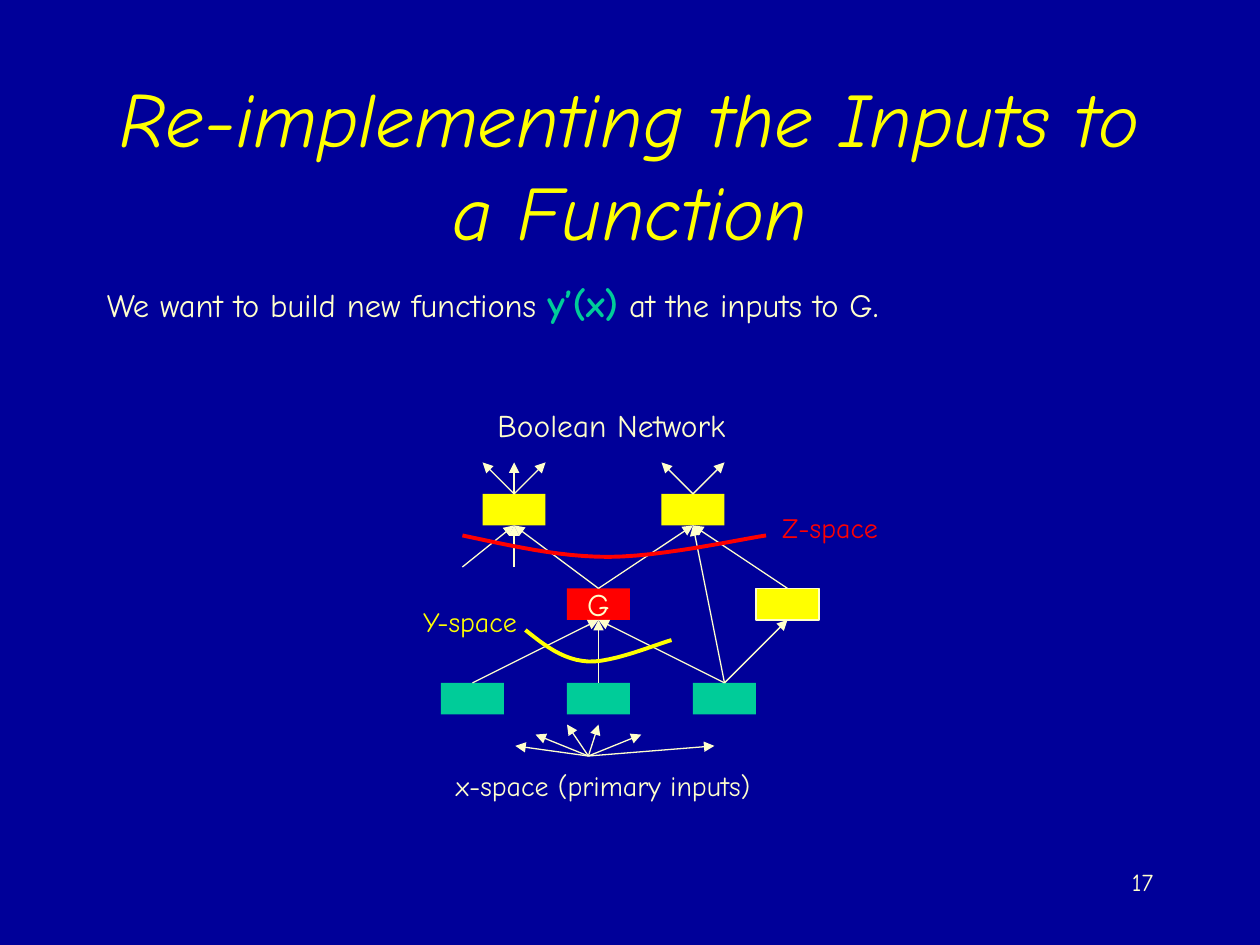
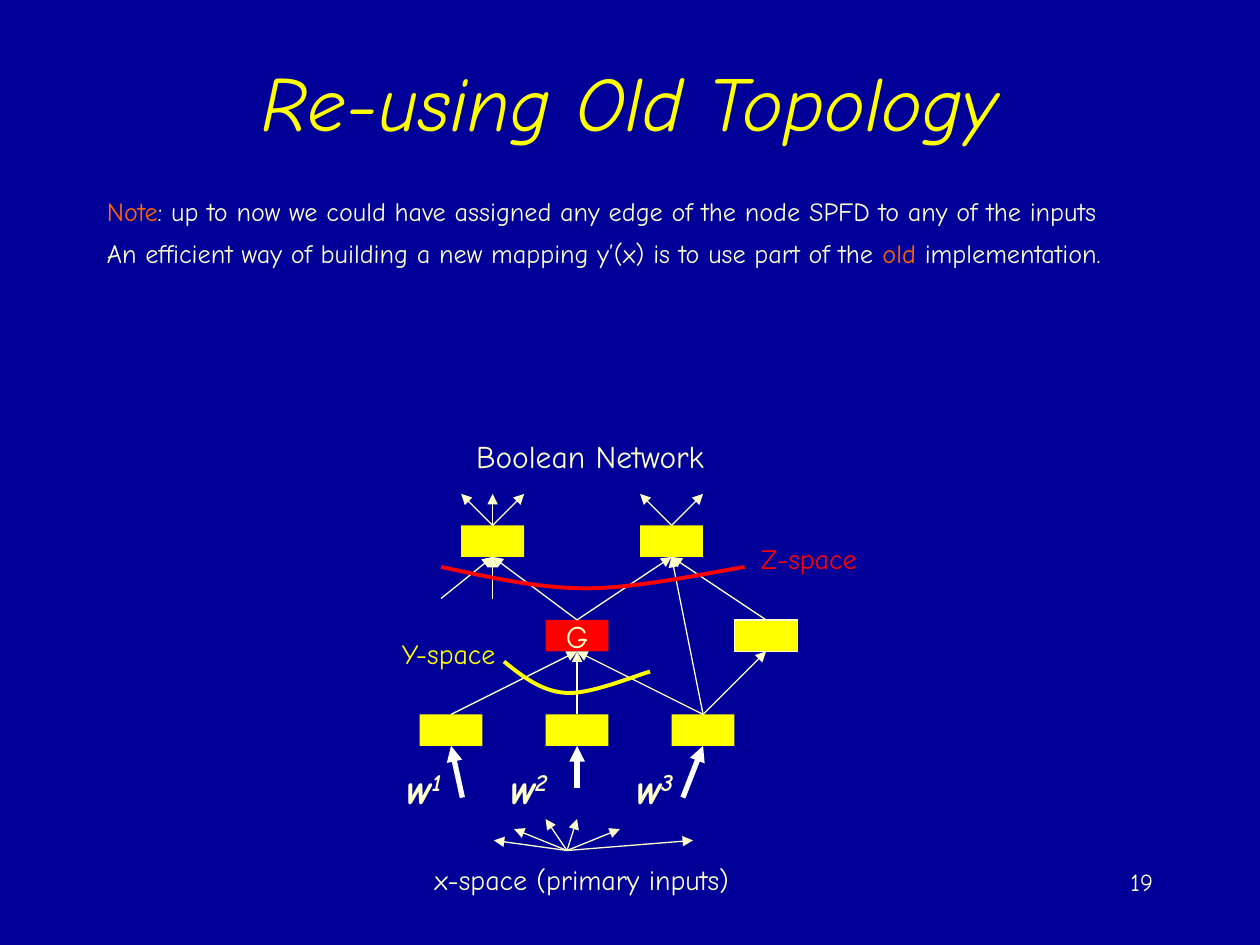
from dataclasses import dataclass
from typing import NamedTuple

from lxml import etree
from pptx import Presentation
from pptx.dml.color import RGBColor
from pptx.enum import shapes, text
from pptx.oxml.ns import qn
from pptx.util import Inches, Pt

NAVY = RGBColor(0x00, 0x00, 0x99)
YELLOW = RGBColor(0xFF, 0xFF, 0x00)
CREAM = RGBColor(0xFF, 0xFF, 0xCC)
WHITE = RGBColor(0xFF, 0xFF, 0xFF)
GREEN = RGBColor(0x00, 0xCC, 0x99)
RED = RGBColor(0xFF, 0x00, 0x00)
ORANGE = RGBColor(0xFF, 0x66, 0x00)
FONT = "Comic Neue"
NODE_WIDTH, NODE_HEIGHT = 0.5, 0.25
CURVE_STEPS = 12


class Point(NamedTuple):
    x: float
    y: float

    def shifted(self, dx: float, dy: float) -> "Point":
        return Point(self.x + dx, self.y + dy)


class Area(NamedTuple):
    left: float
    top: float
    width: float
    height: float


class Span(NamedTuple):
    text: str
    color: RGBColor | None = None
    size: float | None = None
    bold: bool | None = None
    raised: bool = False


@dataclass(frozen=True)
class Style:
    size: float
    color: RGBColor = CREAM
    bold: bool = False
    italic: bool = False
    align: text.PP_ALIGN = text.PP_ALIGN.LEFT
    anchor: text.MSO_ANCHOR = text.MSO_ANCHOR.TOP
    wrap: bool = True
    space_before: float = 0
    hanging: float = 0


@dataclass(frozen=True)
class Node:
    """A box of the network, placed relative to the network's origin."""
    left: float
    top: float
    fill: RGBColor = YELLOW
    outlined: bool = False
    label: str = ""

    @property
    def head(self) -> Point:
        return Point(self.left + NODE_WIDTH / 2, self.top)

    @property
    def foot(self) -> Point:
        return self.head.shifted(0, NODE_HEIGHT)


class Label(NamedTuple):
    text: str
    area: Area
    style: Style


class Curve(NamedTuple):
    """Cubic Bezier segments: a start, then three points per segment."""
    color: RGBColor
    points: list[tuple[float, float]]


TITLE = Style(44, YELLOW, italic=True, align=text.PP_ALIGN.CENTER, anchor=text.MSO_ANCHOR.MIDDLE)
NODE_LABEL = Style(18, align=text.PP_ALIGN.CENTER, anchor=text.MSO_ANCHOR.MIDDLE, wrap=False)
PAGE_NUMBER = Style(14, align=text.PP_ALIGN.RIGHT)
WEIGHT = Style(24, bold=True, italic=True)

G_NODE = Node(1, 1, RED, label="G")
SIDE_NODE = Node(2.5, 1, outlined=True)
LEFT_OUTPUT, RIGHT_OUTPUT = Node(0.33, 0.25), Node(1.75, 0.25)
LABELS = [
    Label("Boolean Network", Area(0.35, -0.5, 2.23, 0.4), Style(18, wrap=False)),
    Label("Y-space", Area(-0.24, 1.08, 0.99, 0.37), Style(16, YELLOW, wrap=False)),
    Label("Z-space", Area(2.61, 0.33, 0.99, 0.37), Style(16, RED, wrap=False)),
]
CURVES = [
    Curve(YELLOW, [(0.67, 1.33), (0.82, 1.45), (0.97, 1.57), (1.17, 1.58),
                   (1.36, 1.59), (1.72, 1.44), (1.83, 1.41)]),
    Curve(RED, [(0.17, 0.58), (0.55, 0.66), (0.93, 0.75), (1.33, 0.75),
                (1.74, 0.75), (2.38, 0.61), (2.58, 0.58)]),
]
FAN_HUB = Point(1.17, 2.33)
FAN_RAYS = [(0.08, -0.25), (-0.17, -0.25), (-0.42, -0.17),
            (-0.58, -0.08), (0.42, -0.17), (1, -0.08)]


def fill_frame(frame, paragraphs: list[list[Span]], style: Style) -> None:
    frame.word_wrap = style.wrap
    frame.vertical_anchor = style.anchor
    for index, spans in enumerate(paragraphs):
        para = frame.paragraphs[0] if index == 0 else frame.add_paragraph()
        para.alignment = style.align
        para.space_before = Pt(style.space_before)
        if style.hanging:
            properties = para._p.get_or_add_pPr()
            properties.set("marL", str(Inches(style.hanging)))
            properties.set("indent", str(-Inches(style.hanging)))
        font = para.font
        font.name, font.size = FONT, Pt(style.size)
        font.bold, font.italic = style.bold, style.italic
        font.color.rgb = style.color
        for span in spans:
            run = para.add_run()
            run.text = span.text
            if span.color is not None:
                run.font.color.rgb = span.color
            if span.size is not None:
                run.font.size = Pt(span.size)
            if span.bold is not None:
                run.font.bold = span.bold
            if span.raised:
                run._r.get_or_add_rPr().set("baseline", "30000")


def add_text(page, area: Area, paragraphs: list[list[Span]], style: Style) -> None:
    box = page.shapes.add_textbox(*map(Inches, area))
    fill_frame(box.text_frame, paragraphs, style)


def add_arrow(page, start: Point, end: Point, color: RGBColor = CREAM, width: float = 0.75) -> None:
    arrow = page.shapes.add_connector(
        shapes.MSO_CONNECTOR.STRAIGHT, *map(Inches, (*start, *end)))
    arrow.line.color.rgb = color
    arrow.line.width = Pt(width)
    etree.SubElement(arrow.line._get_or_add_ln(), qn("a:tailEnd"), type="triangle")
    etree.SubElement(arrow._element.spPr, qn("a:effectLst"))


def bezier_points(points: list[Point]) -> list[Point]:
    """Sample every cubic segment at equal steps."""
    sampled = [points[0]]
    for first in range(0, len(points) - 1, 3):
        segment = points[first:first + 4]
        for step in range(1, CURVE_STEPS + 1):
            t = step / CURVE_STEPS
            weights = ((1 - t) ** 3, 3 * t * (1 - t) ** 2, 3 * t * t * (1 - t), t ** 3)
            sampled.append(Point(sum(w * p.x for w, p in zip(weights, segment)),
                                 sum(w * p.y for w, p in zip(weights, segment))))
    return sampled


def add_curve(page, points: list[Point], color: RGBColor) -> None:
    start, *rest = [(Inches(p.x), Inches(p.y)) for p in bezier_points(points)]
    builder = page.shapes.build_freeform(*start)
    builder.add_line_segments(rest, close=False)
    curve = builder.convert_to_shape()
    curve.shadow.inherit = False
    curve.fill.background()
    curve.line.color.rgb = color
    curve.line.width = Pt(2.25)


def add_node(page, node: Node, origin: Point) -> None:
    corner = origin.shifted(node.left, node.top)
    box = page.shapes.add_shape(
        shapes.MSO_SHAPE.RECTANGLE, *map(Inches, (*corner, NODE_WIDTH, NODE_HEIGHT)))
    box.shadow.inherit = False
    box.fill.solid()
    box.fill.fore_color.rgb = node.fill
    if node.outlined:
        box.line.color.rgb = CREAM
        box.line.width = Pt(0.75)
    else:
        box.line.fill.background()
    if node.label:
        fill_frame(box.text_frame, [[Span(node.label)]], NODE_LABEL)


def add_network(page, origin: Point, input_fill: RGBColor, fan_drop: float = 0) -> None:
    """Draw the Boolean network; fan_drop lowers the primary inputs."""
    inputs = [Node(column, 1.75, input_fill) for column in range(3)]
    for node in (*inputs, G_NODE, SIDE_NODE, RIGHT_OUTPUT, LEFT_OUTPUT):
        add_node(page, node, origin)

    last = inputs[-1].head
    edges = [(node.head, G_NODE.foot) for node in inputs]
    edges += [(last, RIGHT_OUTPUT.foot), (last, SIDE_NODE.foot),
              (SIDE_NODE.head, RIGHT_OUTPUT.foot)]
    edges += [(G_NODE.head, output.foot) for output in (RIGHT_OUTPUT, LEFT_OUTPUT)]
    edges += [(LEFT_OUTPUT.foot.shifted(dx, 0.33), LEFT_OUTPUT.foot) for dx in (0, -0.41)]
    for output, spreads in ((RIGHT_OUTPUT, (0.25, -0.25)), (LEFT_OUTPUT, (0.25, -0.25, 0))):
        edges += [(output.head, output.head.shifted(dx, -0.25)) for dx in spreads]
    hub = FAN_HUB.shifted(0, fan_drop)
    edges += [(hub, hub.shifted(*ray)) for ray in FAN_RAYS]
    for start, end in edges:
        add_arrow(page, start.shifted(*origin), end.shifted(*origin))

    for curve in CURVES:
        add_curve(page, [origin.shifted(*point) for point in curve.points], curve.color)
    primary = Label("x-space (primary inputs)", Area(0.02, 2.38 + fan_drop, 2.71, 0.37),
                    Style(16, wrap=False))
    for label in (*LABELS, primary):
        left, top, width, height = label.area
        add_text(page, Area(*origin.shifted(left, top), width, height),
                 [[Span(label.text)]], label.style)


def add_page(deck, title: str, title_top: float, number: int):
    page = deck.slides.add_slide(deck.slide_layouts[6])
    page.background.fill.solid()
    page.background.fill.fore_color.rgb = NAVY
    add_text(page, Area(0.75, title_top, 8.5, 1.25), [[Span(title)]], TITLE)
    add_text(page, Area(7.17, 6.83, 2.08, 0.5), [[Span(str(number))]], PAGE_NUMBER)
    return page


def add_inputs_page(deck) -> None:
    page = add_page(deck, "Re-implementing the Inputs to a Function", 0.67, 17)
    add_text(page, Area(0.75, 2.17, 7.83, 0.5), [[
        Span("We want to build new functions "),
        Span("y’(x)", GREEN, 21.7, True),
        Span(" at the inputs to G"),
        Span(".", size=21.7),
    ]], Style(18.6, space_before=7, hanging=0.38))
    add_network(page, Point(3.5, 3.67), GREEN)


def add_topology_page(deck) -> None:
    page = add_page(deck, "Re-using Old Topology", 0.17, 19)
    add_text(page, Area(0.75, 1.5, 8.5, 0.83), [
        [Span("Note", ORANGE),
         Span(": up to now we could have assigned any edge of the node SPFD to any of the inputs")],
        [Span("An efficient way of building a new mapping y’(x) is to use part of the "),
         Span("old", ORANGE), Span(" implementation.")],
    ], Style(15, space_before=6, hanging=0.38))
    origin = Point(3.33, 3.92)
    add_network(page, origin, YELLOW, fan_drop=0.5)
    weights = [(3.13, Point(3.67, 6.33)), (3.95, Point(4.58, 6.25)), (4.95, Point(5.42, 6.33))]
    for column, (label_left, arrow_start) in enumerate(weights):
        foot = Node(column, 1.75).foot
        add_arrow(page, arrow_start, foot.shifted(*origin), WHITE, 3)
        add_text(page, Area(label_left, 6, 0.6, 0.5),
                 [[Span("w"), Span(str(column + 1), raised=True)]], WEIGHT)


def main() -> None:
    deck = Presentation()
    deck.slide_width, deck.slide_height = Inches(10), Inches(7.5)
    add_inputs_page(deck)
    add_topology_page(deck)
    deck.save("out.pptx")


if __name__ == "__main__":
    main()
